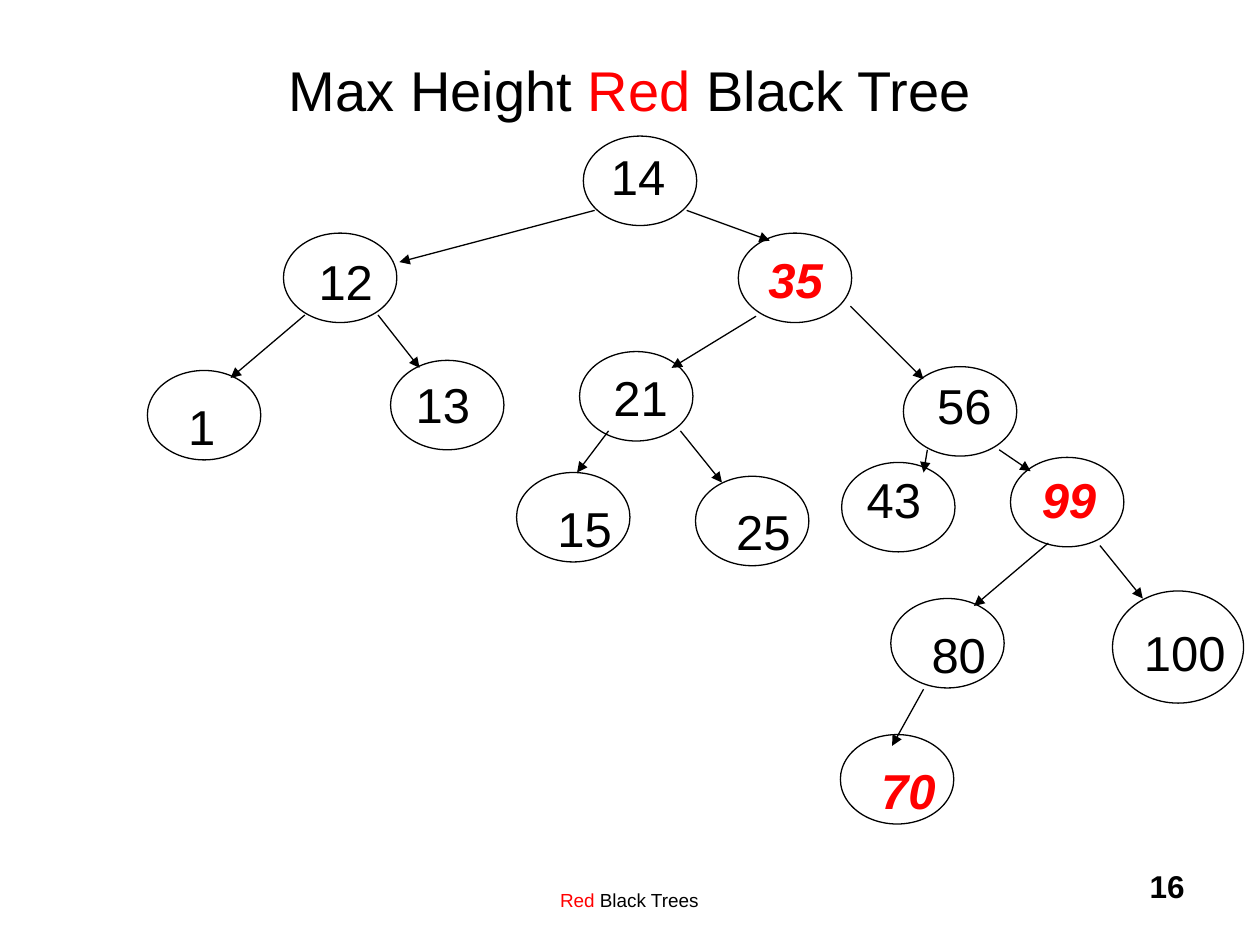
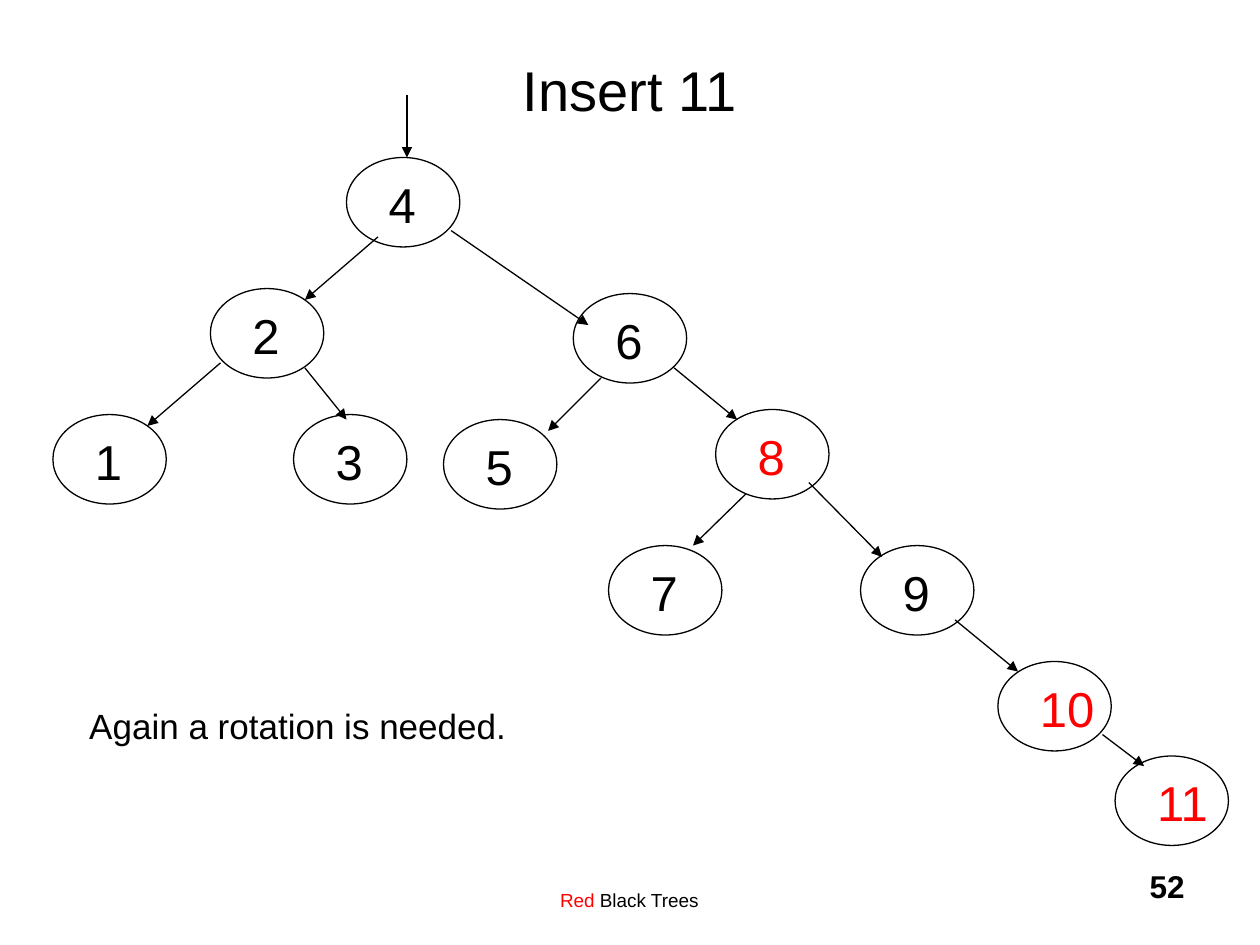
from lxml.etree import SubElement as Sub
from pptx import Presentation
from pptx.dml.color import RGBColor
from pptx.enum.shapes import MSO_CONNECTOR as Link, MSO_SHAPE as Kind
from pptx.enum.text import MSO_ANCHOR as Anchor, PP_ALIGN as Align
from pptx.oxml.ns import qn
from pptx.util import Inches, Pt

BLACK = RGBColor(0, 0, 0)
RED = RGBColor(255, 0, 0)
WHITE = RGBColor(255, 255, 255)
FONT = "Arial"
WIDE, HIGH = Inches(10), Inches(7.5)
CELL = WIDE / 100  # all lengths below count cells of this grid
OVAL = (9, 7.1)
SHIFT = (2.35, 0.83)  # usual step from a node's corner to its label
FOOT = [("Red", RED), (" Black Trees", BLACK)]

# Nodes: key, column, row, then label step, format and size where unusual
LOUD = {"color": RED, "bold": True, "italic": True}
WARM = {"color": RED}
LOW = (2.25, 1.55)
PAGES = [
    {
        "title": [("Max Height ", BLACK), ("Red", RED), (" Black Tree", BLACK)],
        "page": 16,
        "nodes": [
            {"key": 14, "at": (46.3, 10.8), "step": (1.2, 0.3)},
            {"key": 12, "at": (22.5, 18.5), "step": (1.8, 1)},
            {"key": 35, "at": (58.6, 18.5), "step": (1.4, 0.8), "look": LOUD},
            {"key": 56, "at": (71.7, 29.1), "step": (1.7, 0.2)},
            {"key": 43, "at": (66.8, 36.7), "step": (1, 0.1)},
            {"key": 99, "at": (80.2, 36.3), "step": (1.5, 0.5), "look": LOUD},
            {"key": 21, "at": (46, 27.9), "step": (1.7, 0.8)},
            {"key": 1, "at": (11.7, 29.4), "step": LOW},
            {"key": 13, "at": (31, 28.6), "step": (1, 0.6)},
            {"key": 15, "at": (41, 37.5), "step": LOW},
            {"key": 25, "at": (55.2, 37.8), "step": LOW},
            {"key": 80, "at": (70.7, 47.5), "step": LOW},
            {"key": 100, "at": (88.3, 46.9), "step": (1.5, 2), "size": (10.4, 8.9)},
            {"key": 70, "at": (66.7, 58.3), "step": LOW, "look": LOUD},
        ],
        # Arrows: start column and row, end column and row
        "arrows": [
            (47.2, 16.7, 31.7, 20.8), (54.5, 16.7, 61.1, 19.1),
            (67.5, 24.3, 73.3, 30.1), (73.6, 35.7, 73.3, 37.5),
            (79.3, 35.7, 81.8, 37.4), (60, 25.1, 53.3, 29.2),
            (24.2, 25, 18.3, 30), (30, 25, 33.3, 29.2),
            (48.3, 34.2, 45.8, 37.5), (54, 34.2, 57.3, 38.3),
            (83.2, 43.1, 77.3, 48.1), (87.3, 43.3, 90.7, 47.5),
            (73.3, 54.7, 70.8, 59.2),
        ],
    },
    {
        "title": [("Insert 11", BLACK)],
        "page": 52,
        "nodes": [
            {"key": 4, "at": (27.5, 12.5)},
            {"key": 2, "at": (16.7, 22.9)},
            {"key": 3, "at": (23.3, 32.9)},
            {"key": 6, "at": (45.5, 23.3)},
            {"key": 5, "at": (35.2, 33.3)},
            {"key": 8, "at": (56.8, 32.5), "look": WARM},
            {"key": 1, "at": (4.2, 32.9)},
            {"key": 7, "at": (48.3, 43.3)},
            {"key": 9, "at": (68.3, 43.3)},
            {"key": 10, "at": (79.2, 52.5), "look": WARM},
            {"key": 11, "at": (88.5, 60), "look": WARM},
        ],
        "arrows": [
            (32.3, 7.5, 32.3, 12.5), (30, 18.8, 24.2, 23.8),
            (35.8, 18.3, 46.7, 25.8), (47.7, 30, 43.5, 34.2),
            (53.5, 29.2, 58.5, 33.3), (17.5, 28.8, 11.7, 33.8),
            (24.2, 29.2, 27.5, 33.3), (59.2, 39.2, 55, 43.3),
            (64.2, 38.3, 70, 44.2), (75.8, 49.2, 80.8, 53.3),
            (87.5, 58.3, 90.8, 60.8),
        ],
        "note": "Again a rotation is needed.",
    },
]


def grid(*cells):
    return [round(n * CELL) for n in cells]


def write(slide, text, box, size=28, color=BLACK, bold=False, italic=False,
          align=Align.LEFT, anchor=Anchor.TOP, wrap=True):
    """Add a text box; text is a string or a list of (string, colour) runs."""
    frame = slide.shapes.add_textbox(*grid(*box)).text_frame
    frame.word_wrap = wrap
    frame.vertical_anchor = anchor
    para = frame.paragraphs[0]
    para.alignment = align
    for part, tint in [(text, color)] if isinstance(text, str) else text:
        run = para.add_run()
        run.text = part
        font = run.font
        font.name, font.size = FONT, Pt(size)
        font.bold, font.italic = bold, italic
        font.color.rgb = tint


def pen(line):
    line.color.rgb = BLACK
    line.width = Pt(0.75)


def node(slide, key, at, step=SHIFT, look=None, size=OVAL):
    oval = slide.shapes.add_shape(Kind.OVAL, *grid(*at, *size))
    oval.shadow.inherit = False
    oval.fill.background()
    pen(oval.line)
    text = str(key)
    # Label box fits its digits
    box = (at[0] + step[0], at[1] + step[1], 1.9 + 2.2 * len(text), 5.7)
    write(slide, text, box, wrap=False, **(look or {}))


def arrow(slide, ends):
    link = slide.shapes.add_connector(Link.STRAIGHT, *grid(*ends))
    pen(link.line)
    props = link._element.spPr
    Sub(props.find(qn("a:ln")), qn("a:tailEnd"), type="triangle")
    Sub(props, qn("a:effectLst"))


def build(deck, page):
    slide = deck.slides.add_slide(deck.slide_layouts[6])
    slide.background.fill.solid()
    slide.background.fill.fore_color.rgb = WHITE
    # Shared footer, number and title
    write(slide, FOOT, (30.8, 70, 38.3, 3.3), size=10.8, align=Align.CENTER)
    write(slide, str(page["page"]), (74.2, 68.3, 20.8, 5), size=18, bold=True,
          align=Align.RIGHT)
    write(slide, page["title"], (7.5, 0.8, 85, 12.5), size=32,
          align=Align.CENTER, anchor=Anchor.MIDDLE)
    # Tree
    for item in page["nodes"]:
        node(slide, **item)
    for ends in page["arrows"]:
        arrow(slide, ends)
    if "note" in page:
        write(slide, page["note"], (6.1, 55.4, 40.5, 4.4), size=20)


def main():
    deck = Presentation()
    deck.slide_width, deck.slide_height = WIDE, HIGH
    for page in PAGES:
        build(deck, page)
    deck.save("out.pptx")


if __name__ == "__main__":
    main()
